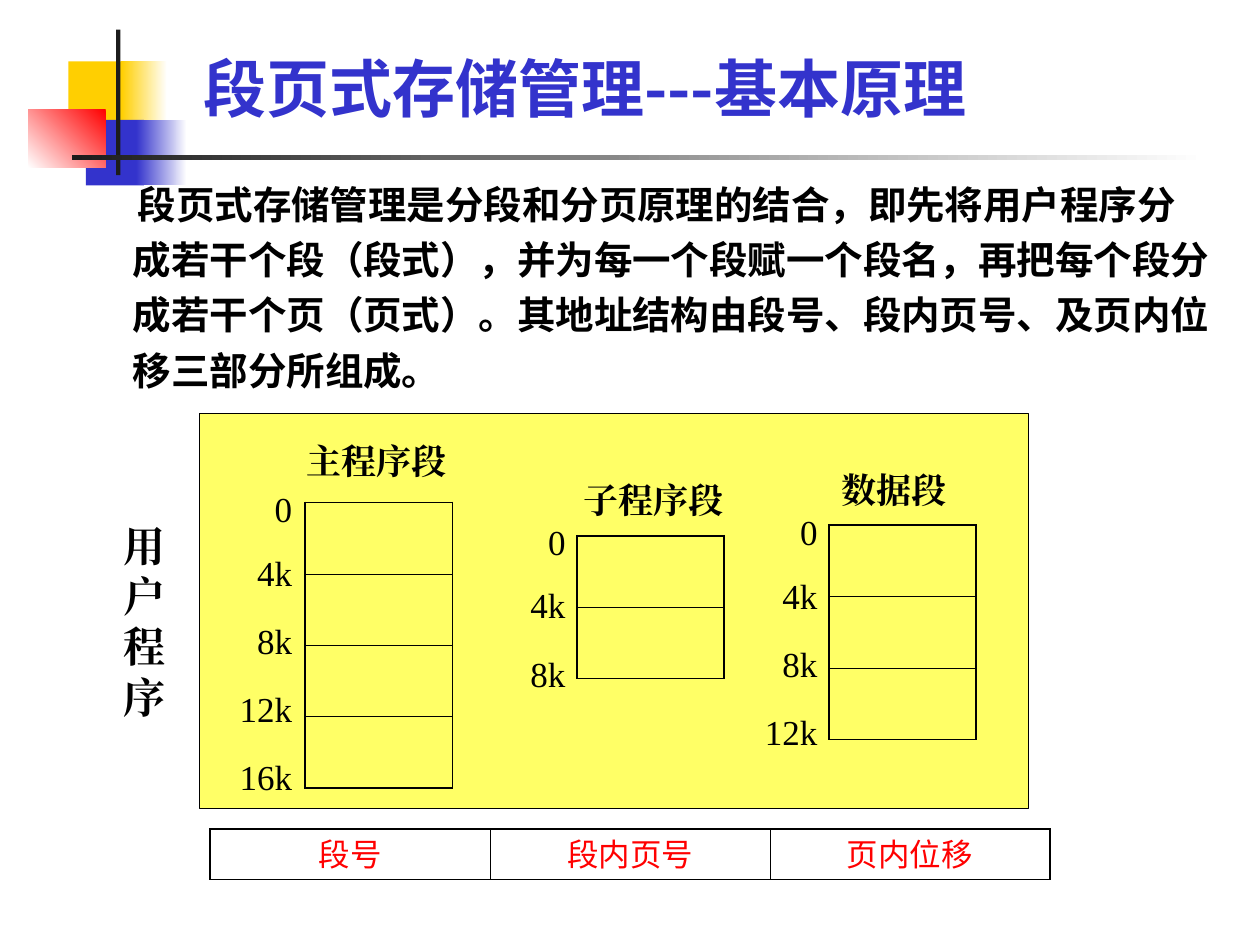
from dataclasses import dataclass

from lxml import etree
from pptx import Presentation
from pptx.dml.color import RGBColor
from pptx.enum.shapes import MSO_SHAPE
from pptx.enum.text import MSO_ANCHOR, PP_ALIGN
from pptx.oxml.ns import qn
from pptx.util import Cm, Pt

RECTANGLE = MSO_SHAPE.RECTANGLE
TOP, BOTTOM = MSO_ANCHOR.TOP, MSO_ANCHOR.BOTTOM
LEFT, CENTER, RIGHT = PP_ALIGN.LEFT, PP_ALIGN.CENTER, PP_ALIGN.RIGHT


@dataclass(frozen=True)
class Theme:
    black: str = "000000"
    white: str = "FFFFFF"
    dark: str = "1C1C1C"
    blue: str = "3333CC"
    gold: str = "FFCF01"
    red: str = "FF0000"
    panel: str = "FFFF66"
    heading_font: str = "Noto Sans CJK SC"
    label_font: str = "Times New Roman"
    field_font: str = "Lato"
    title_size: int = 36
    side_size: int = 24
    body_size: int = 22
    label_size: int = 20
    field_size: int = 18
    outer_line: float = 1.08
    inner_line: float = 0.45


class SlideBuilder:
    def __init__(self, page, theme):
        self.page = page
        self.theme = theme

    def rectangle(self, place, color, fade=None, angle=180, line=None):
        shape = self.page.shapes.add_shape(RECTANGLE, *map(Cm, place))
        shape.shadow.inherit = False
        if fade:
            shape.fill.gradient()
            shape.fill.gradient_angle = angle
            for stop, tint in zip(shape.fill.gradient_stops, (color, fade)):
                stop.color.rgb = RGBColor.from_string(tint)
        else:
            shape.fill.solid()
            shape.fill.fore_color.rgb = RGBColor.from_string(color)
        if line:
            shape.line.color.rgb = RGBColor.from_string(line)
            shape.line.width = Pt(0.75)
        else:
            shape.line.fill.background()

    def span(self, para, text, font, size, color, bold=False, **layout):
        span = para.add_run()
        span.text = text
        letters = {"name": font, "size": Pt(size), "bold": bold}
        for target, values in ((para, layout), (span.font, letters)):
            for name, value in values.items():
                setattr(target, name, value)
        span.font.color.rgb = RGBColor.from_string(color)
        east = etree.SubElement(span.font._element, qn("a:ea"))
        east.set("typeface", font)

    def text(self, place, lines, font, size, color, bold=False,
             anchor=TOP, align=LEFT, gap=0, spacing=(1.0,), indent=None):
        box = self.page.shapes.add_textbox(*map(Cm, place))
        frame = box.text_frame
        frame.word_wrap = True
        frame.vertical_anchor = anchor
        for index, line in enumerate(lines):
            para = frame.add_paragraph() if index else frame.paragraphs[0]
            if indent:
                margin, first = indent
                properties = para._p.get_or_add_pPr()
                properties.set("marL", str(Cm(margin)))
                properties.set("indent", str(Cm(first)))
            self.span(para, line, font, size, color, bold, alignment=align,
                      space_before=Pt(gap if index else 0),
                      line_spacing=spacing[min(index, len(spacing) - 1)])

    def border(self, cell, side, width):
        line = etree.SubElement(cell._tc.get_or_add_tcPr(), qn(f"a:ln{side}"))
        line.set("w", str(Pt(width)))
        fill = etree.SubElement(line, qn("a:solidFill"))
        etree.SubElement(fill, qn("a:srgbClr")).set("val", self.theme.black)

    def grid(self, left, top, rows, columns, width, height):
        place = (left, top, width * columns, height * rows)
        table = self.page.shapes.add_table(rows, columns, *map(Cm, place)).table
        table.first_row = table.horz_banding = False
        for column in table.columns:
            column.width = Cm(width)
        for y, row in enumerate(table.rows):
            row.height = Cm(height)
            for x, cell in enumerate(row.cells):
                edges = {"L": x == 0, "R": x == columns - 1,
                         "T": y == 0, "B": y == rows - 1}
                for side, outer in edges.items():
                    self.border(cell, side, self.theme.outer_line if outer
                                else self.theme.inner_line)
                cell.fill.background()
        return table

    def segment(self, name, left, top, pages, name_place, scale_place):
        theme = self.theme
        self.grid(left, top, pages, 1, 2.97, 1.44)
        self.text((*name_place, 3.6, 1.11), [name], theme.label_font,
                  theme.label_size, theme.black, bold=True)
        marks = ["0"] + [f"{4 * number}k" for number in range(1, pages + 1)]
        self.text((*scale_place, 2.12, 1.37 * pages + 1), marks,
                  theme.label_font, theme.label_size, theme.black,
                  align=RIGHT, gap=12.5, spacing=(1.0, 1.0, 1.1))

    def fields(self, left, top, names):
        theme = self.theme
        table = self.grid(left, top, 1, len(names), 5.64, 1.02)
        for cell, name in zip(table.rows[0].cells, names):
            self.span(cell.text_frame.paragraphs[0], name, theme.field_font,
                      theme.field_size, theme.red, alignment=CENTER)


def main():
    theme = Theme()
    deck = Presentation()
    deck.slide_width, deck.slide_height = Cm(25.4), Cm(19.05)
    slide = SlideBuilder(deck.slides.add_slide(deck.slide_layouts[6]), theme)

    slide.rectangle((1.38, 1.24, 1.21, 1.32), theme.gold)
    slide.rectangle((2.45, 1.24, 0.92, 1.32), theme.white, theme.gold)
    slide.rectangle((1.73, 2.42, 1.17, 1.32), theme.blue)
    slide.rectangle((2.75, 2.42, 1.02, 1.32), theme.white, theme.blue)
    slide.rectangle((0.57, 2.2, 1.56, 1.18), theme.red, theme.white, angle=225)
    slide.rectangle((2.34, 0.6, 0.09, 2.93), theme.dark)
    slide.rectangle((1.46, 3.13, 22.86, 0.09), theme.white, theme.dark)
    slide.rectangle((4.02, 8.33, 16.72, 7.97), theme.panel, line=theme.black)

    slide.text((3.85, 0.53, 19.46, 2.12), ["段页式存储管理---基本原理"],
               theme.heading_font, theme.title_size, theme.blue, bold=True,
               anchor=BOTTOM)
    slide.text((1.48, 3.33, 23.21, 4.75),
               ["段页式存储管理是分段和分页原理的结合，即先将用户程序分成若干个段"
                "（段式），并为每一个段赋一个段名，再把每个段分成若干个页（页式）。"
                "其地址结构由段号、段内页号、及页内位移三部分所组成。"],
               theme.heading_font, theme.body_size, theme.black, bold=True,
               spacing=(1.2,), indent=(0.95, 0.1))

    segments = [
        ("主程序段", 6.15, 10.13, 4, (5.92, 8.74), (4.02, 9.7)),
        ("子程序段", 11.63, 10.8, 2, (11.51, 9.53), (9.53, 10.36)),
        ("数据段", 16.71, 10.59, 3, (16.71, 9.32), (14.61, 10.16)),
    ]
    for segment in segments:
        slide.segment(*segment)

    slide.text((2.11, 10.36, 1.48, 4.32), ["用户程序"], theme.label_font,
               theme.side_size, theme.black, bold=True, align=RIGHT)
    slide.fields(4.24, 16.71, ["段号", "段内页号", "页内位移"])
    deck.save("out.pptx")


if __name__ == "__main__":
    main()
